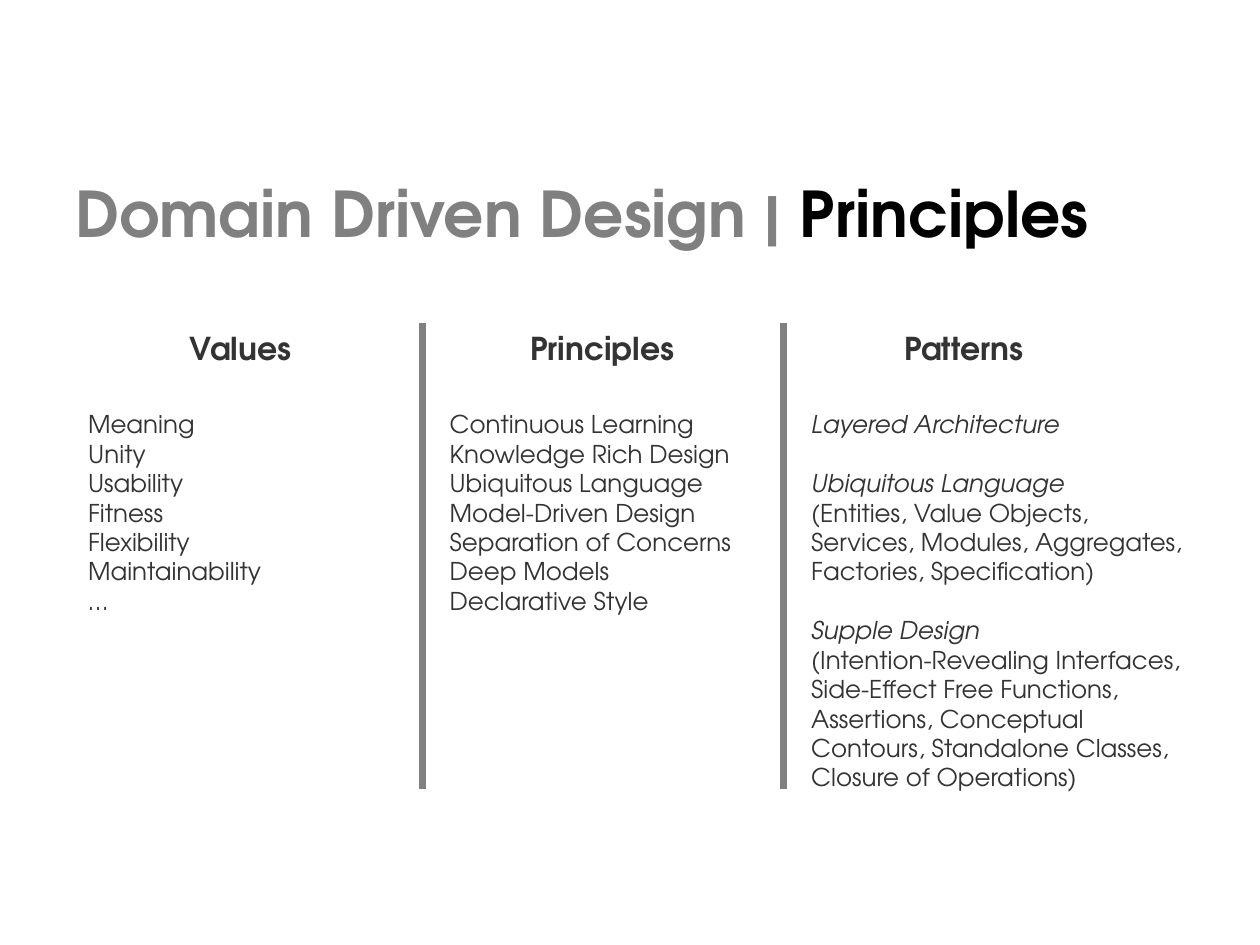
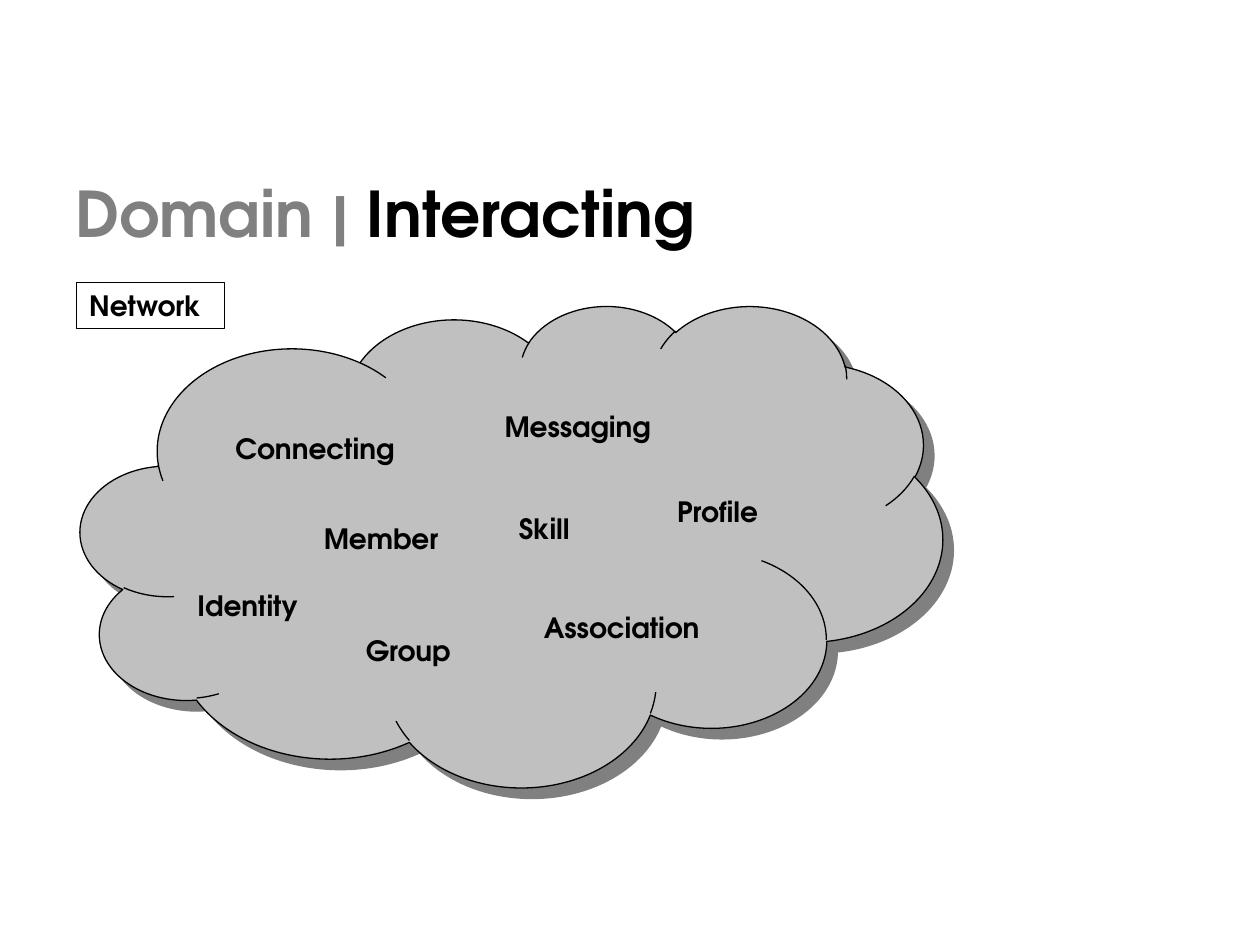
"""Build two slides on domain driven design: its principles and an example domain."""
from dataclasses import dataclass

from lxml.etree import SubElement
from pptx import Presentation
from pptx.dml.color import RGBColor
from pptx.enum.shapes import MSO_CONNECTOR, MSO_SHAPE
from pptx.enum.text import MSO_ANCHOR, PP_ALIGN
from pptx.oxml.ns import qn
from pptx.presentation import Presentation as Deck
from pptx.shapes.autoshape import Shape
from pptx.slide import Slide
from pptx.util import Emu, Inches, Pt

BLACK = RGBColor(0x00, 0x00, 0x00)
CHARCOAL = RGBColor(0x33, 0x33, 0x33)
GRAY = RGBColor(0x80, 0x80, 0x80)
SILVER = RGBColor(0xC0, 0xC0, 0xC0)

FONT = "TeX Gyre Adventor"
SLIDE_WIDTH, SLIDE_HEIGHT = Inches(10), Inches(7.5)
GRID_COLUMNS, GRID_ROWS = 100, 75
COLUMN_STEP = 28.7
BLANK_LINE = Pt(16.8)


@dataclass(frozen=True)
class Frame:
    """A rectangle in grid columns and rows."""

    left: float
    top: float
    width: float
    height: float

    def lengths(self) -> tuple[Emu, Emu, Emu, Emu]:
        """Return left, top, width and height as slide lengths."""
        return across(self.left), down(self.top), across(self.width), down(self.height)


@dataclass(frozen=True)
class Style:
    """The look of a paragraph."""

    size: int
    color: RGBColor
    bold: bool = True
    alignment: PP_ALIGN = PP_ALIGN.LEFT


@dataclass(frozen=True)
class Line:
    """A paragraph of a text column."""

    text: str
    italic: bool = False
    gap: bool = False


@dataclass(frozen=True)
class TextColumn:
    """A heading with its lines and the size of the body."""

    heading: str
    lines: tuple[Line, ...]
    width: float
    height: float


@dataclass(frozen=True)
class Label:
    """A word placed in the cloud."""

    text: str
    left: float
    top: float
    width: float


TITLE_STYLE = Style(36, GRAY)
HEADING_STYLE = Style(18, CHARCOAL, alignment=PP_ALIGN.CENTER)
BODY_STYLE = Style(14, CHARCOAL, bold=False)
TAG_STYLE = Style(16, BLACK)
LABEL_STYLE = Style(16, BLACK, alignment=PP_ALIGN.CENTER)

TITLE_FRAME = Frame(5, 13.3, 90, 49.2)
CLOUD_FRAME = Frame(6.4, 24.2, 68.4, 38.2)
TAG_FRAME = Frame(6.1, 22.4, 11.7, 3.7)

VALUES = ("Meaning", "Unity", "Usability", "Fitness", "Flexibility", "Maintainability", "…")
PRINCIPLES = (
    "Continuous Learning",
    "Knowledge Rich Design",
    "Ubiquitous Language",
    "Model-Driven Design",
    "Separation of Concerns",
    "Deep Models",
    "Declarative Style",
)
PATTERNS = (
    Line("Layered Architecture", italic=True),
    Line("Ubiquitous Language", italic=True, gap=True),
    Line("(Entities, Value Objects, Services, Modules, Aggregates, Factories, Specification)"),
    Line("Supple Design", italic=True, gap=True),
    Line(
        "(Intention-Revealing Interfaces, Side-Effect Free Functions, Assertions, "
        "Conceptual Contours, Standalone Classes, Closure of Operations)"
    ),
)
TEXT_COLUMNS = (
    TextColumn("Values", tuple(map(Line, VALUES)), 26.1, 19.7),
    TextColumn("Principles", tuple(map(Line, PRINCIPLES)), 26.1, 17.4),
    TextColumn("Patterns", PATTERNS, 31.6, 33.7),
)
LABELS = (
    Label("Member", 24.6, 40.9, 11.3),
    Label("Group", 28, 49.8, 8.8),
    Label("Messaging", 38.9, 32, 13.9),
    Label("Profile", 52.3, 38.8, 9.3),
    Label("Connecting", 17.7, 33.8, 14.6),
    Label("Association", 42, 48, 14.7),
    Label("Identity", 14.2, 46.2, 10.9),
    Label("Skill", 39.9, 40.1, 6.6),
)


def across(columns: float) -> Emu:
    """Turn grid columns into a length."""
    return Emu(round(SLIDE_WIDTH * columns / GRID_COLUMNS))


def down(rows: float) -> Emu:
    """Turn grid rows into a length."""
    return Emu(round(SLIDE_HEIGHT * rows / GRID_ROWS))


def write_lines(shape: Shape, lines: tuple[Line, ...], style: Style) -> None:
    """Fill a shape with one paragraph per line."""
    text_frame = shape.text_frame
    text_frame.word_wrap = True
    text_frame.vertical_anchor = MSO_ANCHOR.TOP
    for index, line in enumerate(lines):
        paragraph = text_frame.add_paragraph() if index else text_frame.paragraphs[0]
        paragraph.text = line.text
        paragraph.alignment = style.alignment
        if line.gap:
            paragraph.space_before = BLANK_LINE
        font = paragraph.font
        font.name, font.size, font.bold = FONT, Pt(style.size), style.bold
        font.italic = line.italic
        font.color.rgb = style.color


def add_text(slide: Slide, frame: Frame, lines: tuple[Line, ...], style: Style) -> Shape:
    """Add a text box and return it."""
    shape = slide.shapes.add_textbox(*frame.lengths())
    write_lines(shape, lines, style)
    return shape


def add_label(slide: Slide, label: Label) -> None:
    """Add a one-line word that may use the full width of its box."""
    frame = Frame(label.left, label.top, label.width, TAG_FRAME.height)
    text_frame = add_text(slide, frame, (Line(label.text),), LABEL_STYLE).text_frame
    text_frame.word_wrap = False
    text_frame.margin_left = text_frame.margin_right = 0


def add_titled_slide(presentation: Deck, subject: str, topic: str) -> Slide:
    """Add a blank slide with a gray subject and a black topic."""
    slide = presentation.slides.add_slide(presentation.slide_layouts[6])
    title = add_text(slide, TITLE_FRAME, (Line(f"{subject} |"),), TITLE_STYLE)
    title.text_frame.margin_top = down(0.55)
    run = title.text_frame.paragraphs[0].add_run()
    run.text = f" {topic}"
    run.font.color.rgb = BLACK
    return slide


def add_divider(slide: Slide, column: float) -> None:
    """Add a vertical rule between two text columns."""
    divider = slide.shapes.add_connector(
        MSO_CONNECTOR.STRAIGHT, across(column), down(25.6), across(column), down(62.6)
    )
    divider.line.color.rgb = GRAY
    divider.line.width = Pt(4)
    SubElement(divider.element.spPr, qn("a:effectLst"))


def add_outlined_shape(slide: Slide, kind: MSO_SHAPE, frame: Frame) -> Shape:
    """Add an unfilled shape with a thin black outline."""
    shape = slide.shapes.add_shape(kind, *frame.lengths())
    shape.shadow.inherit = False
    shape.fill.background()
    shape.line.color.rgb = BLACK
    shape.line.width = Pt(0.74)
    return shape


def add_cloud(slide: Slide) -> None:
    """Add the silver cloud with its hard gray shadow."""
    cloud = add_outlined_shape(slide, MSO_SHAPE.CLOUD, CLOUD_FRAME)
    cloud.fill.solid()
    cloud.fill.fore_color.rgb = SILVER
    effects = cloud.element.spPr.find(qn("a:effectLst"))
    shadow = SubElement(
        effects, qn("a:outerShdw"), blurRad="0", dist=str(Pt(8.5)), dir="2700000", algn="ctr", rotWithShape="0"
    )
    SubElement(shadow, qn("a:srgbClr"), val=str(GRAY))


def build_principles(presentation: Deck) -> None:
    """Build the slide with three text columns."""
    slide = add_titled_slide(presentation, "Domain Driven Design", "Principles")
    for index, column in enumerate(TEXT_COLUMNS):
        offset = index * COLUMN_STEP
        if index:
            add_divider(slide, 4.8 + offset)
        add_text(slide, Frame(7.3 + offset, 25.6, 23.6, 4), (Line(column.heading),), HEADING_STYLE)
        add_text(slide, Frame(6 + offset, 32, column.width, column.height), column.lines, BODY_STYLE)


def build_domain(presentation: Deck) -> None:
    """Build the slide with the cloud of domain words."""
    slide = add_titled_slide(presentation, "Domain", "Interacting")
    add_cloud(slide)
    tag = add_outlined_shape(slide, MSO_SHAPE.RECTANGLE, TAG_FRAME)
    write_lines(tag, (Line("Network"),), TAG_STYLE)
    for label in LABELS:
        add_label(slide, label)


def main() -> None:
    """Build and save the presentation."""
    presentation = Presentation()
    presentation.slide_width, presentation.slide_height = SLIDE_WIDTH, SLIDE_HEIGHT
    build_principles(presentation)
    build_domain(presentation)
    presentation.save("out.pptx")


main()
